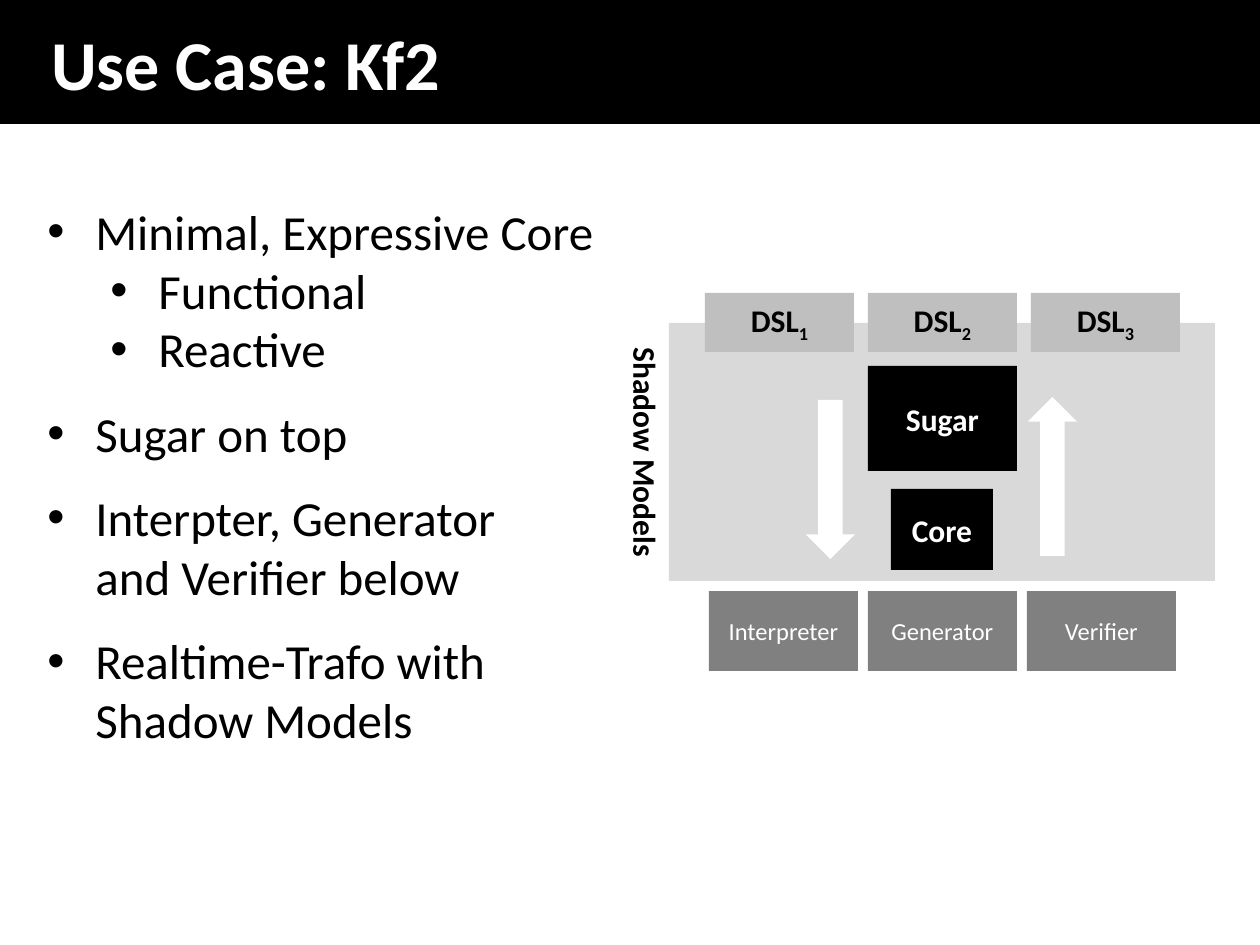
from pptx import Presentation
from pptx.dml.color import RGBColor
from pptx.enum.shapes import MSO_SHAPE
from pptx.enum.text import MSO_ANCHOR, MSO_AUTO_SIZE, PP_ALIGN
from pptx.oxml.xmlchemy import OxmlElement
from pptx.util import Emu, Pt

PIXEL = 914400 // 126
FONT = "Calibri"
BLACK = RGBColor(0x00, 0x00, 0x00)
WHITE = RGBColor(0xFF, 0xFF, 0xFF)
PANEL_GRAY = RGBColor(0xD9, 0xD9, 0xD9)
LANGUAGE_GRAY = RGBColor(0xBF, 0xBF, 0xBF)
TOOL_GRAY = RGBColor(0x80, 0x80, 0x80)

BULLETS = [
    (0, 0, "Minimal, Expressive Core"),
    (1, 0, "Functional"),
    (1, 0, "Reactive"),
    (0, 14.6, "Sugar on top"),
    (0, 14.6, "Interpter, Generator\vand Verifier below"),
    (0, 14.6, "Realtime-Trafo with\vShadow Models"),
]


def px(*lengths):
    return [Emu(length * PIXEL) for length in lengths]


def style(font, size, color, bold=False):
    font.name = FONT
    font.size = Pt(size)
    font.color.rgb = color
    font.bold = bold


def add_block(page, area, fill, kind=MSO_SHAPE.RECTANGLE):
    block = page.shapes.add_shape(kind, *px(*area))
    block.shadow.inherit = False
    block.fill.solid()
    block.fill.fore_color.rgb = fill
    block.line.fill.background()
    return block


def add_label_block(page, area, fill, label, size, color, bold, subscript=None):
    block = add_block(page, area, fill)
    block.text_frame.vertical_anchor = MSO_ANCHOR.MIDDLE
    para = block.text_frame.paragraphs[0]
    para.text = label
    para.alignment = PP_ALIGN.CENTER
    if subscript:
        span = para.add_run()
        span.text = subscript
        span.font._element.set("baseline", "-25000")
    for span in para.runs:
        style(span.font, size, color, bold)


def add_text(page, area, text, size, color, bold, wrap=True):
    box = page.shapes.add_textbox(*px(*area))
    frame = box.text_frame
    frame.word_wrap = wrap
    frame.text = text
    style(frame.paragraphs[0].runs[0].font, size, color, bold)
    return box


def add_title(page):
    add_block(page, (0, 0, 1260, 124), BLACK)
    box = add_text(page, (39, 1, 1186, 116), "Use Case: Kf2", 40, WHITE, True)
    box.text_frame.vertical_anchor = MSO_ANCHOR.MIDDLE
    box.text_frame.paragraphs[0].line_spacing = Pt(51.8)


def add_bullets(page):
    frame = page.shapes.add_textbox(*px(35, 195, 1196, 564)).text_frame
    frame.word_wrap = True
    for index, (level, space, text) in enumerate(BULLETS):
        para = frame.add_paragraph() if index else frame.paragraphs[0]
        para.text = text
        para.level = level
        if space:
            para.space_before = Pt(space)
        properties = para._p.get_or_add_pPr()
        left, hanging = px(48 + 63 * level, -48)
        properties.set("marL", str(left))
        properties.set("indent", str(hanging))
        bullet_font = OxmlElement("a:buFont")
        bullet_font.set("typeface", "Arial")
        bullet = OxmlElement("a:buChar")
        bullet.set("char", "•")
        properties.extend([bullet_font, bullet])
        style(para.font, 28, BLACK)
        for span in para.runs:
            style(span.font, 28, BLACK)


def add_diagram(page):
    add_block(page, (669, 323, 546, 258), PANEL_GRAY)
    add_label_block(page, (891, 489, 102, 81), BLACK, "Core", 18, WHITE, True)
    add_label_block(page, (868, 366, 149, 105), BLACK, "Sugar", 18, WHITE, True)
    for column, tool in enumerate(["Interpreter", "Generator", "Verifier"]):
        area = (709 + 159 * column, 591, 149, 80)
        add_label_block(page, area, TOOL_GRAY, tool, 14, WHITE, False)
    for column in range(3):
        area = (705 + 163 * column, 293, 149, 59)
        add_label_block(page, area, LANGUAGE_GRAY, "DSL", 18, BLACK, True, str(column + 1))
    add_block(page, (806, 400, 49, 159), WHITE, MSO_SHAPE.DOWN_ARROW)
    upward = add_block(page, (1028, 397, 49, 159), WHITE, MSO_SHAPE.DOWN_ARROW)
    upward.rotation = 180
    caption = add_text(page, (528, 428, 236, 50), "Shadow Models", 18, BLACK, True, False)
    caption.text_frame.auto_size = MSO_AUTO_SIZE.SHAPE_TO_FIT_TEXT
    caption.rotation = 90


def main():
    deck = Presentation()
    deck.slide_width, deck.slide_height = px(1260, 945)
    page = deck.slides.add_slide(deck.slide_layouts[6])
    add_title(page)
    add_diagram(page)
    add_bullets(page)
    deck.save("out.pptx")


if __name__ == "__main__":
    main()
